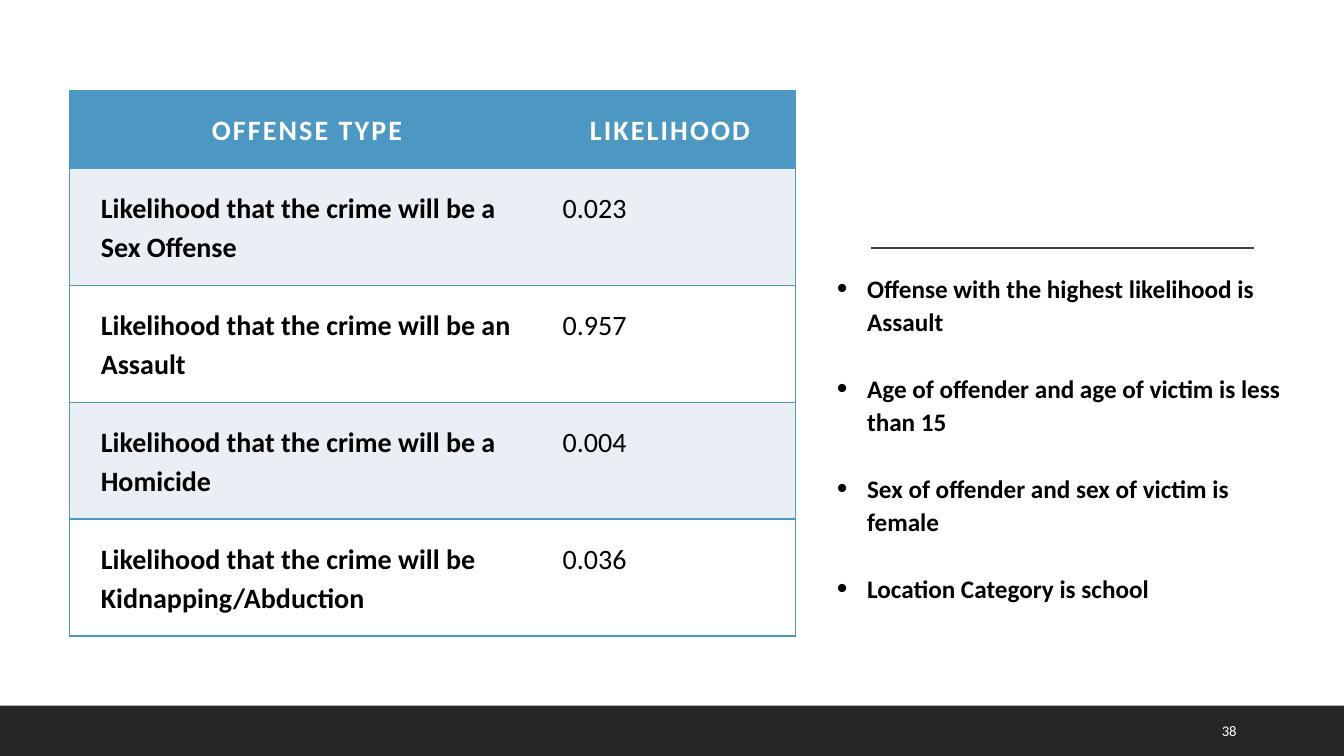
from lxml import etree
from pptx import Presentation
from pptx import util as u
from pptx.dml.color import RGBColor
from pptx.enum import shapes, text
from pptx.oxml import ns

BLUE, PALE, WHITE, BLACK = "4D98C3", "E9EFF5", "FFFFFF", "000000"
DARK, RULE = "262626", "404040"


def colour(code):
    return RGBColor.from_string(code)


def add_xml(parent, tag, **attributes):
    return etree.SubElement(parent, ns.qn(tag), attributes)


class SlideBuilder:
    font = "Calibri"

    def __init__(self, page):
        self.page = page

    def style(self, para, size, code, bold=False, spacing=None):
        for span in para.runs:
            span.font.name = self.font
            span.font.size = u.Pt(size)
            span.font.bold = bold
            span.font.color.rgb = colour(code)
            if spacing:
                span._r.get_or_add_rPr().set("spc", str(spacing))

    def panel(self, left, top, width, height, code):
        box = self.page.shapes.add_shape(
            shapes.MSO_SHAPE.RECTANGLE,
            u.Inches(left), u.Inches(top), u.Inches(width), u.Inches(height))
        box.shadow.inherit = False
        box.fill.solid()
        box.fill.fore_color.rgb = colour(code)
        box.line.fill.background()

    def rule(self, left, right, top, code):
        line = self.page.shapes.add_connector(
            shapes.MSO_CONNECTOR.STRAIGHT,
            u.Inches(left), u.Inches(top), u.Inches(right), u.Inches(top))
        line.line.color.rgb = colour(code)
        line.line.width = u.Pt(1)
        add_xml(line._element.spPr, "a:effectLst")

    def text_box(self, left, top, width, height):
        box = self.page.shapes.add_textbox(
            u.Inches(left), u.Inches(top), u.Inches(width), u.Inches(height))
        box.text_frame.word_wrap = True
        return box.text_frame

    def bullets(self, left, top, width, height, items):
        frame = self.text_box(left, top, width, height)
        frame.margin_left = frame.margin_right = 0
        frame.text = "\n".join(items)
        for index, para in enumerate(frame.paragraphs):
            props = para._p.get_or_add_pPr()
            props.set("marL", str(u.Inches(0.3)))
            props.set("indent", str(-u.Inches(0.3)))
            add_xml(props, "a:buSzPct", val="120000")
            add_xml(props, "a:buFont", typeface="Arial")
            add_xml(props, "a:buChar", char="•")
            para.line_spacing = 1.1
            para.space_before = u.Pt(12 if index else 0)
            para.space_after = u.Pt(12)
            self.style(para, 18, BLACK, bold=True)

    def page_number(self, left, top, width, height, number):
        frame = self.text_box(left, top, width, height)
        frame.vertical_anchor = text.MSO_ANCHOR.MIDDLE
        frame.text = number
        self.style(frame.paragraphs[0], 10.5, WHITE)

    def borders(self, cell, sides):
        props = cell._tc.get_or_add_tcPr()
        for side in "LRTB":
            line = add_xml(props, f"a:ln{side}", w=str(u.Pt(1)))
            if side in sides:
                fill = add_xml(line, "a:solidFill")
                add_xml(fill, "a:srgbClr", val=BLUE)
            else:
                add_xml(line, "a:noFill")

    def table(self, left, top, widths, heights, rows):
        table = self.page.shapes.add_table(
            len(rows), len(widths), u.Inches(left), u.Inches(top),
            u.Inches(sum(widths)), u.Inches(sum(heights))).table
        table.first_row = table.horz_banding = False
        for column, width in zip(table.columns, widths):
            column.width = u.Inches(width)
        for row, height in zip(table.rows, heights):
            row.height = u.Inches(height)
        for r, values in enumerate(rows):
            for c, value in enumerate(values):
                self.cell(table.cell(r, c), value, r, c)

    def cell(self, cell, value, row, column):
        header = row == 0
        self.borders(cell, "RTB" if column else "LTB")
        cell.fill.solid()
        cell.fill.fore_color.rgb = colour(
            BLUE if header else PALE if row % 2 else WHITE)
        cell.margin_left = u.Inches(0.31)
        cell.margin_right = cell.margin_top = cell.margin_bottom = u.Inches(0.18)
        cell.text_frame.text = value
        para = cell.text_frame.paragraphs[0]
        para.line_spacing = 1.15
        para.alignment = text.PP_ALIGN.CENTER if header else text.PP_ALIGN.LEFT
        self.style(para, 20, WHITE if header else BLACK,
                   bold=header or column == 0, spacing=150 if header else None)


def main():
    deck = Presentation()
    deck.slide_width, deck.slide_height = u.Inches(13.33), u.Inches(7.5)
    slide = SlideBuilder(deck.slides.add_slide(deck.slide_layouts[6]))

    slide.panel(0, 0, 13.33, 7.5, WHITE)
    slide.rule(8.64, 12.44, 2.46, RULE)
    slide.bullets(8.3, 2.63, 4.58, 3.91, [
        "Offense with the highest likelihood is Assault",
        "Age of offender and age of victim is less than 15",
        "Sex of offender and sex of victim is female",
        "Location Category is school",
    ])
    slide.panel(0, 7, 13.33, 0.5, DARK)
    slide.page_number(12.02, 7.05, 0.85, 0.4, "38")

    offenses = [
        ("a Sex Offense", "0.023"),
        ("an Assault", "0.957"),
        ("a Homicide", "0.004"),
        ("Kidnapping/Abduction", "0.036"),
    ]
    rows = [("OFFENSE TYPE", "LIKELIHOOD")]
    rows += [(f"Likelihood that the crime will be {offense}", value)
             for offense, value in offenses]
    slide.table(0.69, 0.9, [4.58, 2.62], [0.77] + [1.16] * len(offenses), rows)

    deck.save("out.pptx")


if __name__ == "__main__":
    main()
